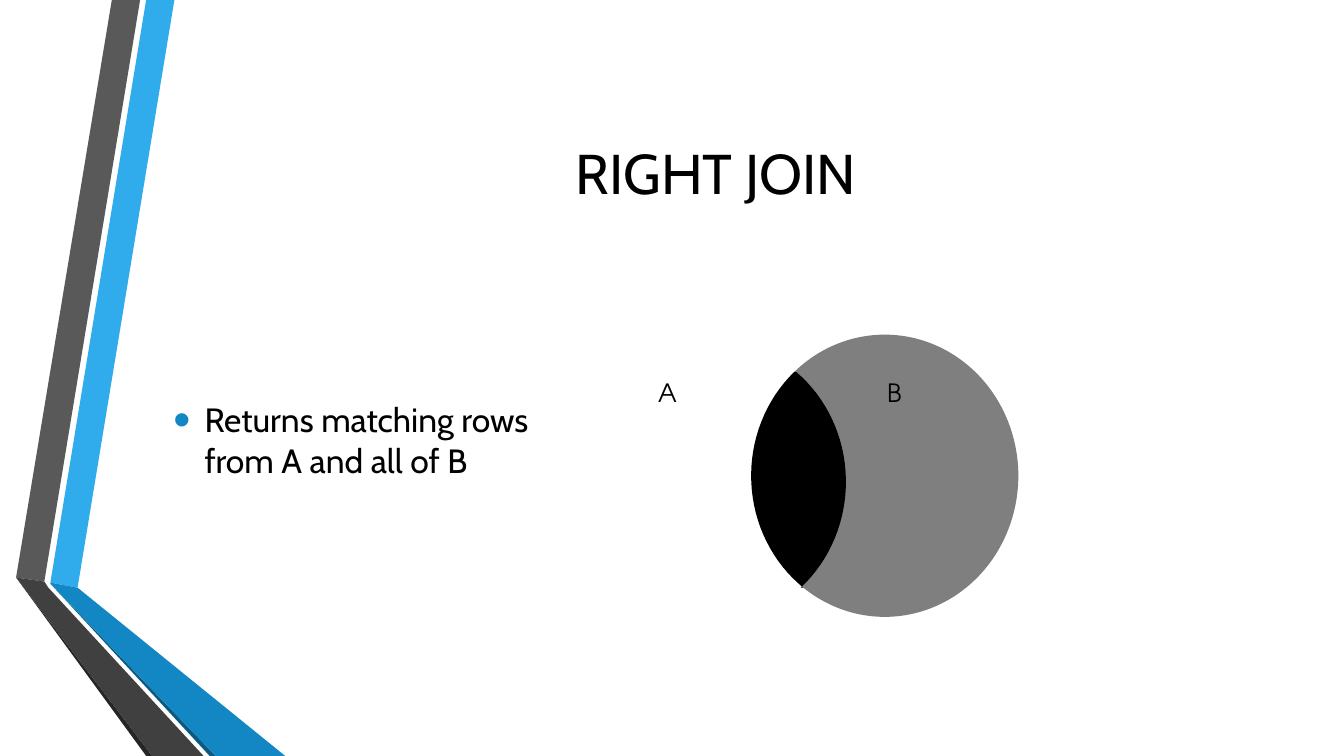
from dataclasses import dataclass
from math import asin, cos, sin

from lxml.etree import SubElement
from pptx import Presentation
from pptx.dml.color import RGBColor
from pptx.enum.shapes import MSO_SHAPE as Shape
from pptx.enum.text import MSO_ANCHOR as Anchor, PP_ALIGN as Align
from pptx.oxml.ns import qn
from pptx.util import Pt

PX = 9144  # one px is a hundredth of an inch


@dataclass(frozen=True)
class Theme:
    text: str = "000000"
    paper: str = "FFFFFF"
    set_b: str = "7F7F7F"
    overlap: str = "000000"
    bullet: str = "1287C3"
    body_font: str = "Cabin"
    label_font: str = "TeX Gyre Adventor"
    title_size: int = 40
    body_size: int = 24
    label_size: int = 18


THEME = Theme()

# Ribbon outlines by colour, back to front
RIBBONS = [
    ("30ACEC", [(50, 578), (77, 583), (173, 0), (145, 0)]),
    ("595959", [(139, 0), (111, 0), (16, 573), (44, 577)]),
    ("262626", [(16, 573), (145, 750), (151, 750)]),
    ("0C5A82", [(50, 579), (208, 750), (214, 750)]),
    ("1287C3", [(50, 579), (214, 750), (283, 750), (77, 583), (50, 578)]),
    ("404040", [(202, 750), (48, 583), (44, 577), (16, 573), (151, 750)]),
]


def emu(*lengths):
    return [round(length * PX) for length in lengths]


def paint(shape, colour):
    shape.shadow.inherit = False
    shape.fill.solid()
    shape.fill.fore_color.rgb = RGBColor.from_string(colour)
    shape.line.fill.background()


def add_outline(slide, points, colour):
    start, *rest = [emu(*point) for point in points]
    builder = slide.shapes.build_freeform(*start, scale=1.0)
    builder.add_line_segments(rest, close=True)
    paint(builder.convert_to_shape(), colour)


def add_text(slide, box, words, size, font, anchor=Anchor.TOP, align=Align.LEFT, bullet=None):
    frame = slide.shapes.add_textbox(*emu(*box)).text_frame
    frame.word_wrap = True
    frame.vertical_anchor = anchor
    paragraph = frame.paragraphs[0]
    paragraph.text = words
    paragraph.alignment = align
    if bullet:
        add_bullet(paragraph, bullet)
    look = {"size": Pt(size), "name": font}
    for name, value in look.items():
        setattr(paragraph.font, name, value)
    paragraph.font.color.rgb = RGBColor.from_string(THEME.text)


def add_bullet(paragraph, colour):
    properties = paragraph._p.get_or_add_pPr()
    indent = emu(31)[0]
    properties.set("marL", str(indent))
    properties.set("indent", str(-indent))
    tint = SubElement(properties, qn("a:buClr"))
    SubElement(tint, qn("a:srgbClr"), val=colour)
    SubElement(properties, qn("a:buSzPct"), val="145000")
    SubElement(properties, qn("a:buFont"), typeface="Arial")
    SubElement(properties, qn("a:buChar"), char="•")


def draw_ribbons(slide, box):
    left, top = box[:2]
    for colour, points in RIBBONS:
        add_outline(slide, [(left + x, top + y) for x, y in points], colour)


def draw_title(slide, box):
    add_text(slide, box, "RIGHT JOIN", THEME.title_size, THEME.body_font,
             Anchor.MIDDLE, Align.CENTER)


def draw_description(slide, box):
    add_text(slide, box, "Returns matching rows from A and all of B",
             THEME.body_size, THEME.body_font, Anchor.MIDDLE, bullet=THEME.bullet)


def arc(oval, y_from, y_to, side, steps=32):
    """Points down or up one side (-1 left, 1 right) of an oval."""
    left, top, width, height = oval
    rx, ry = width / 2, height / 2
    cx, cy = left + rx, top + ry
    start, end = (asin((y - cy) / ry) for y in (y_from, y_to))
    angles = [start + (end - start) * i / steps for i in range(steps + 1)]
    return [(cx + side * rx * cos(a), cy + ry * sin(a)) for a in angles]


def draw_venn(slide, box):
    left, top, width, height = box
    oval_w, oval_h = 265, 280
    oval_b = (left + width - oval_w, top, oval_w, oval_h)
    oval_a = (left, top + height - oval_h, oval_w, oval_h)

    # Sets: A hides the part of B under it
    for oval, colour in ((oval_b, THEME.set_b), (oval_a, THEME.paper)):
        paint(slide.shapes.add_shape(Shape.OVAL, *emu(*oval)), colour)

    # Overlap, reaching slightly past the edge of A
    overlap_top, overlap_bottom = top + 37, top + 251
    edge_a = (left + 3, *oval_a[1:])
    lens = (arc(oval_b, overlap_bottom, overlap_top, -1)
            + arc(edge_a, overlap_top, overlap_bottom, 1))
    add_outline(slide, lens, THEME.overlap)

    # Set names
    for name, offset in (("A", 72), ("B", 299)):
        add_text(slide, (left + offset, top + 37, 55, 40), name,
                 THEME.label_size, THEME.label_font)


def main():
    deck = Presentation()
    deck.slide_width, deck.slide_height = emu(1333, 750)
    slide = deck.slides.add_slide(deck.slide_layouts[6])
    draw_ribbons(slide, (0, 0, 283, 750))
    draw_title(slide, (162, 75, 1096, 192))
    draw_description(slide, (162, 292, 399, 288))
    draw_venn(slide, (571, 332, 439, 286))
    deck.save("out.pptx")


if __name__ == "__main__":
    main()
